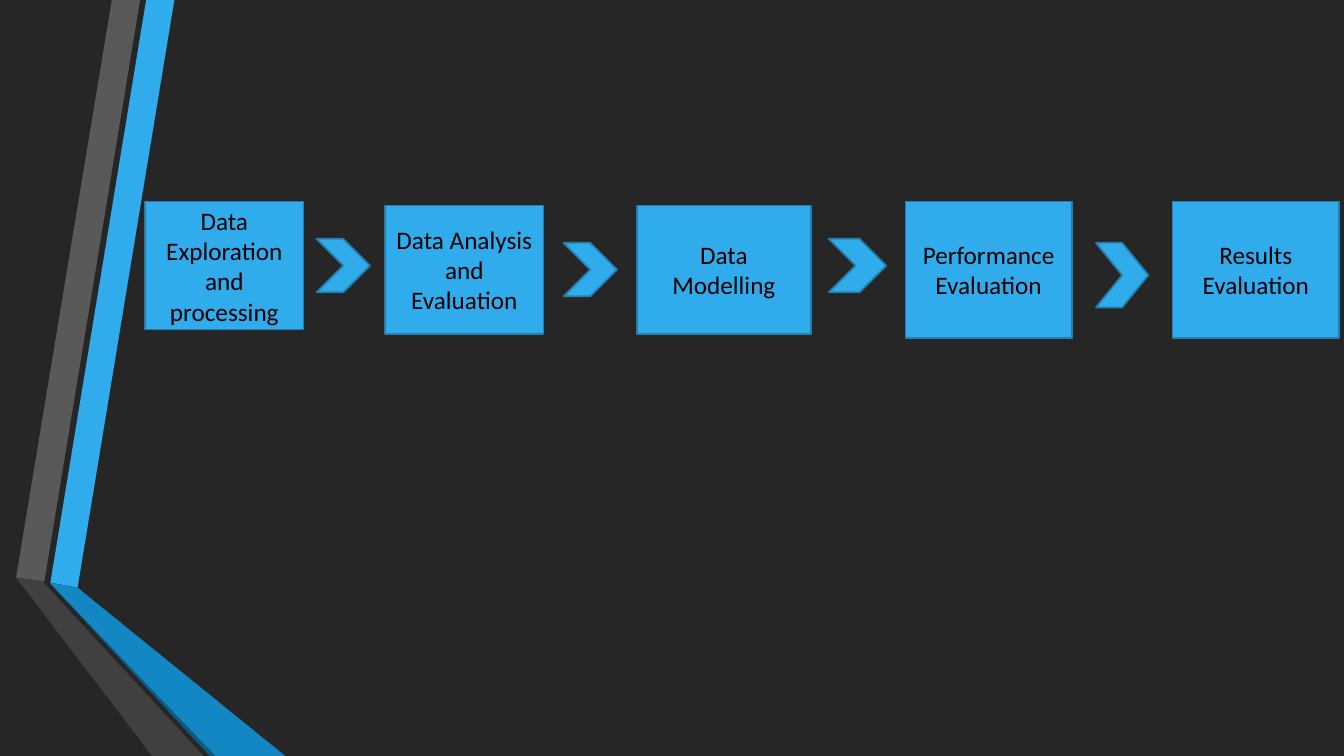
import pptx
import pptx.util
from pptx.dml.color import RGBColor
from pptx.enum.shapes import MSO_SHAPE
from pptx.enum.text import MSO_ANCHOR, PP_ALIGN

PX = 9144  # EMU in one px, 100 px to the inch
SLIDE_W, SLIDE_H = 1333, 750

DARK = RGBColor(0x26, 0x26, 0x26)
BLUE = RGBColor(0x30, 0xAC, 0xEC)
MID_BLUE = RGBColor(0x12, 0x87, 0xC3)
DEEP_BLUE = RGBColor(0x0C, 0x5A, 0x82)
EDGE_BLUE = RGBColor(0x24, 0x7F, 0xAF)
GREY = RGBColor(0x59, 0x59, 0x59)
DARK_GREY = RGBColor(0x40, 0x40, 0x40)
BLACK = RGBColor(0, 0, 0)

# Ribbon pieces, back to front, in px from the ribbon box corner
RIBBON = [
    (BLUE, [(34, 578), (61, 583), (157, 0), (129, 0)]),
    (GREY, [(123, 0), (95, 0), (0, 573), (28, 577)]),
    (DARK, [(0, 573), (129, 750), (135, 750)]),
    (DEEP_BLUE, [(34, 579), (192, 750), (198, 750)]),
    (MID_BLUE, [(34, 579), (198, 750), (267, 750), (61, 583), (34, 578)]),
    (DARK_GREY, [(186, 750), (32, 583), (27, 578), (28, 577), (0, 573), (135, 750)]),
]

PROCESS, RECT = MSO_SHAPE.FLOWCHART_PROCESS, MSO_SHAPE.RECTANGLE

# Boxes and chevrons, in px from the flow box corner
STEPS = [
    (PROCESS, "Data Exploration and processing", (0, 0, 157, 127)),
    (PROCESS, "Data Analysis and Evaluation", (238, 4, 157, 127)),
    (PROCESS, "Data Modelling", (488, 4, 172, 127)),
    (PROCESS, "Performance Evaluation", (754, 0, 165, 135)),
    (RECT, "Results Evaluation", (1019, 0, 165, 135)),
]
CHEVRONS = [
    (170, 37, 53, 53),
    (415, 41, 53, 53),
    (678, 37, 57, 53),
    (943, 41, 52, 64),
]


def add_ribbon(s, left, top):
    """Folded ribbon along the left edge."""
    for colour, points in RIBBON:
        (x, y), *rest = [(left + px, top + py) for px, py in points]
        builder = s.shapes.build_freeform(x, y, scale=PX)
        builder.add_line_segments(rest, close=True)
        sp = builder.convert_to_shape()
        sp.shadow.inherit = False
        sp.fill.solid()
        sp.fill.fore_color.rgb = colour
        sp.line.fill.background()


def add_flow_shape(s, kind, left, top, box):
    x, y, w, h = box
    sp = s.shapes.add_shape(kind, (left + x) * PX, (top + y) * PX, w * PX, h * PX)
    sp.shadow.inherit = False
    sp.fill.solid()
    sp.fill.fore_color.rgb = BLUE
    sp.line.color.rgb = EDGE_BLUE
    sp.line.width = pptx.util.Pt(1.25)
    return sp


def add_flow(s, left, top):
    """Row of process steps with a chevron between neighbours."""
    for i, (kind, text, box) in enumerate(STEPS):
        sp = add_flow_shape(s, kind, left, top, box)
        tf = sp.text_frame
        tf.word_wrap = True
        tf.vertical_anchor = MSO_ANCHOR.MIDDLE
        p = tf.paragraphs[0]
        p.alignment = PP_ALIGN.CENTER
        r = p.add_run()
        r.text = text
        r.font.name = "Calibri"
        r.font.size = pptx.util.Pt(18)
        r.font.color.rgb = BLACK
        if i < len(CHEVRONS):
            add_flow_shape(s, MSO_SHAPE.CHEVRON, left, top, CHEVRONS[i])


def main():
    prs = pptx.Presentation()
    prs.slide_width = SLIDE_W * PX
    prs.slide_height = SLIDE_H * PX
    s = prs.slides.add_slide(prs.slide_layouts[6])

    # Background
    s.background.fill.solid()
    s.background.fill.fore_color.rgb = DARK

    add_ribbon(s, 16, 0)
    add_flow(s, 144, 200)
    prs.save("out.pptx")


if __name__ == "__main__":
    main()
